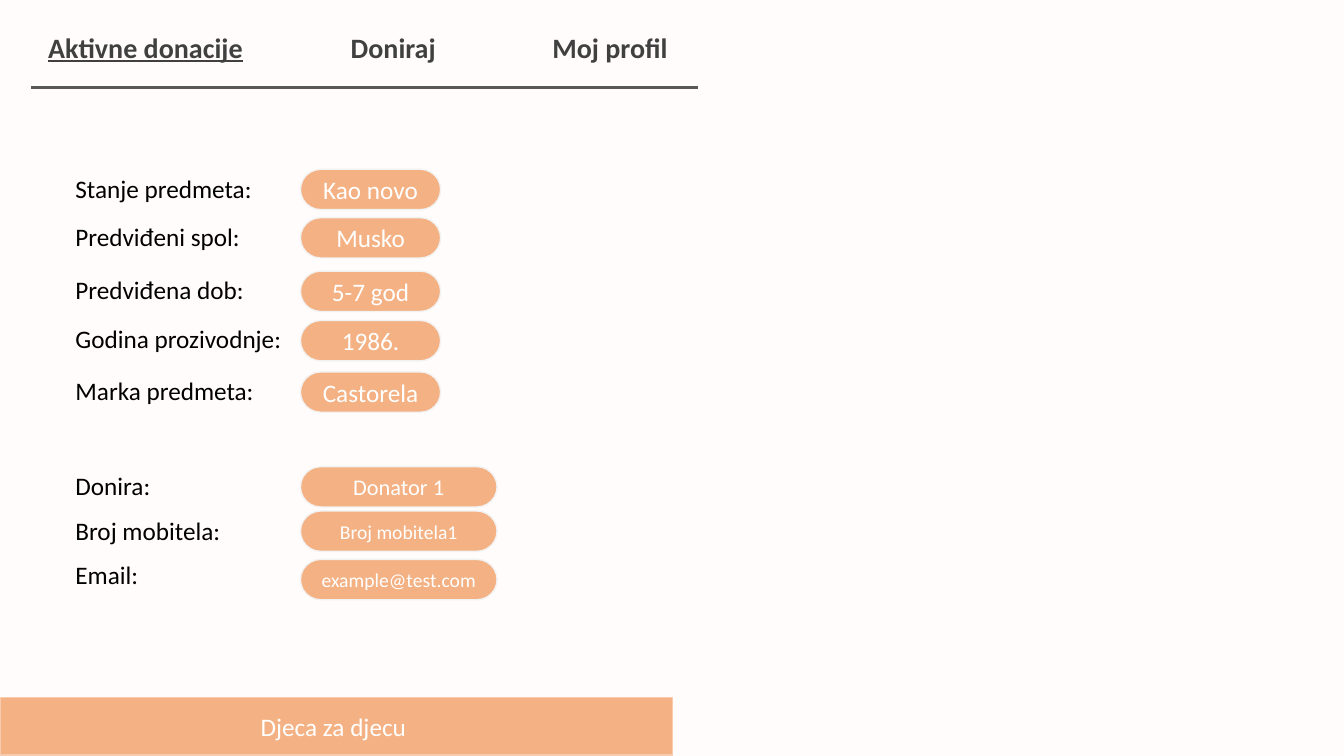
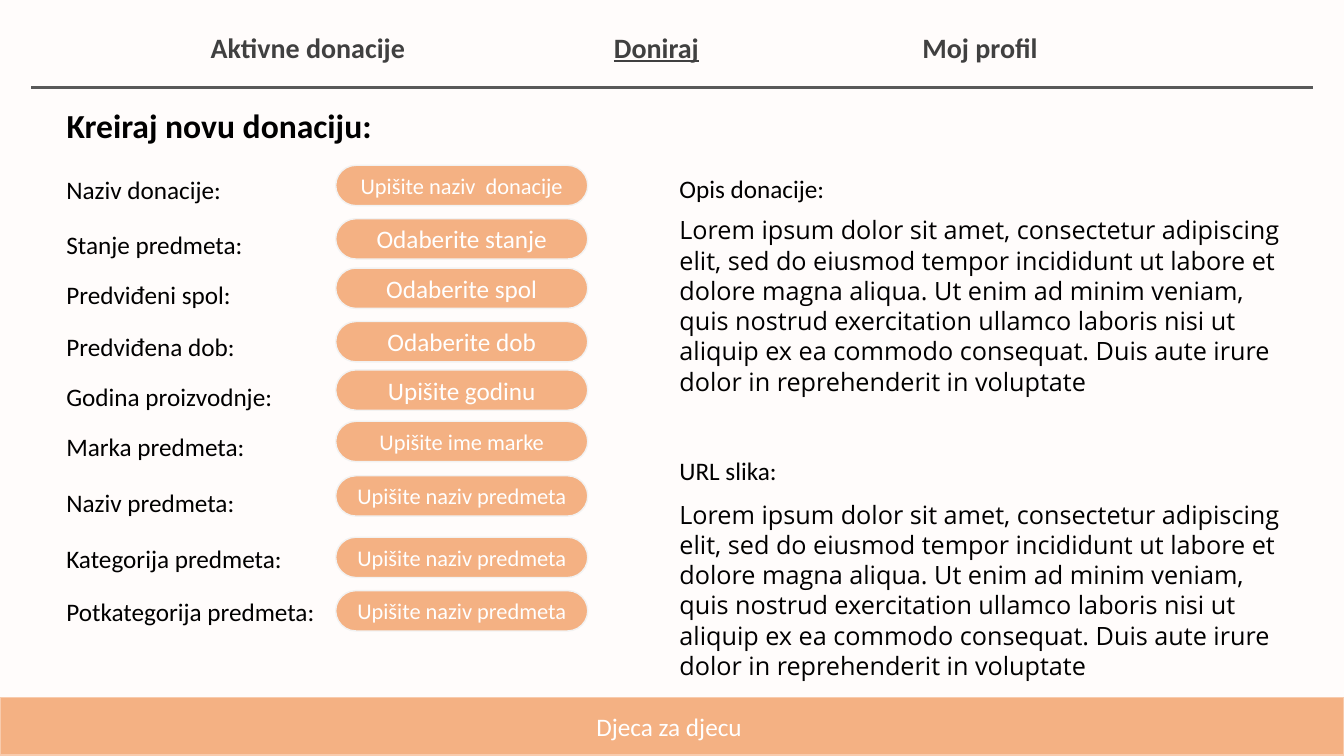
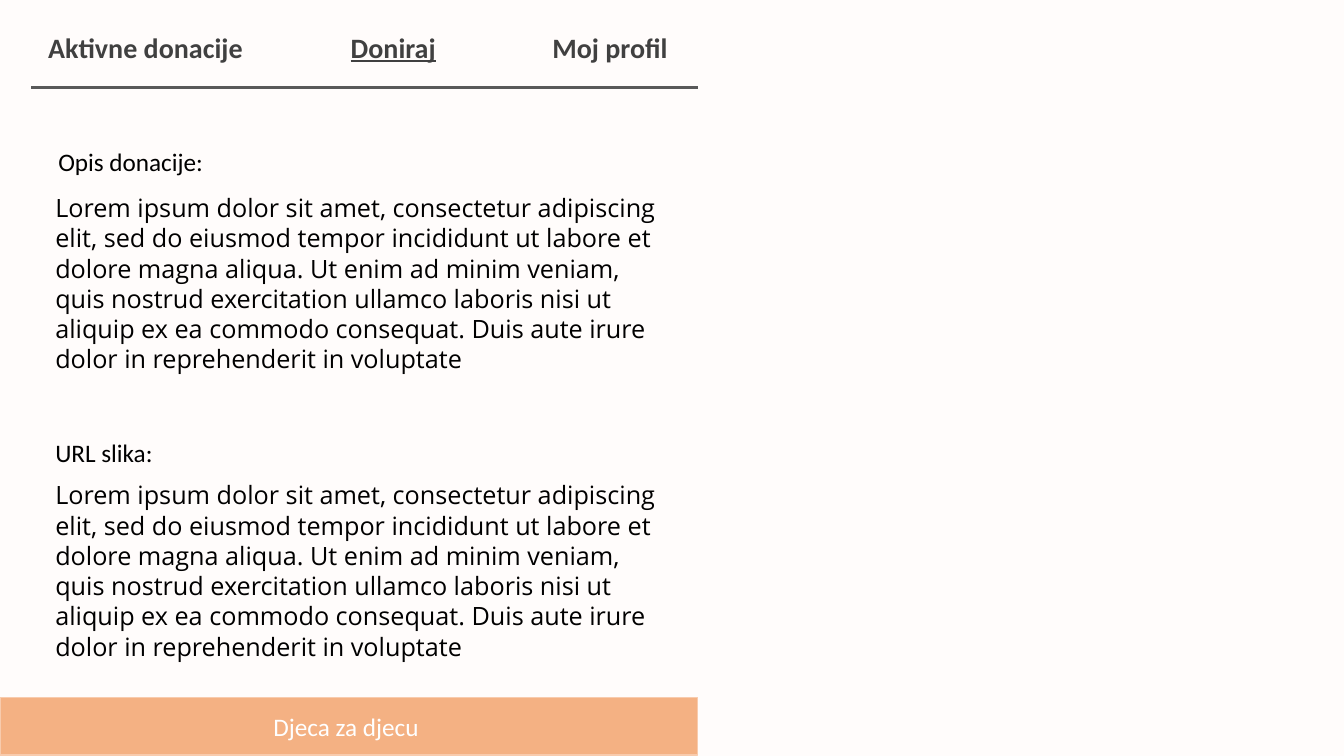
from dataclasses import dataclass

from lxml import etree
from pptx import Presentation
from pptx.dml.color import RGBColor
from pptx.enum.shapes import MSO_CONNECTOR, MSO_SHAPE
from pptx.enum.text import MSO_ANCHOR, MSO_AUTO_SIZE, PP_ALIGN
from pptx.oxml.ns import qn
from pptx.util import Inches, Pt

RECT, PILL = MSO_SHAPE.RECTANGLE, MSO_SHAPE.ROUNDED_RECTANGLE
LINE = MSO_CONNECTOR.STRAIGHT
LEFT, CENTER = PP_ALIGN.LEFT, PP_ALIGN.CENTER
TOP, MIDDLE = MSO_ANCHOR.TOP, MSO_ANCHOR.MIDDLE
GROW = MSO_AUTO_SIZE.SHAPE_TO_FIT_TEXT
TITLED, BLANK = 5, 6


@dataclass(frozen=True)
class Theme:
    back: str = "FFFCFB"
    accent: str = "F4B183"
    edge: str = "F8CBAD"
    rim: str = "F2F2F2"
    rule: str = "595959"
    menu: str = "404040"
    ink: str = "000000"
    white: str = "FFFFFF"
    main: str = "Calibri"
    prose: str = "Open Sans"
    title: int = 24
    nav: int = 20
    body: int = 18
    small: int = 16
    tiny: int = 14


T = Theme()
TABS = ("Aktivne donacije", "Doniraj", "Moj profil")
LOREM = (
    "Lorem ipsum dolor sit amet, consectetur adipiscing elit, sed do eiusmod "
    "tempor incididunt ut labore et dolore magna aliqua. Ut enim ad minim "
    "veniam, quis nostrud exercitation ullamco laboris nisi ut aliquip ex ea "
    "commodo consequat. Duis aute irure dolor in reprehenderit in voluptate"
)


def rgb(code):
    return RGBColor.from_string(code)


def box(*sizes):
    return [Inches(size) for size in sizes]


class Deck:
    def __init__(self):
        self.prs = Presentation()
        self.prs.slide_width, self.prs.slide_height = box(13.33, 7.5)
        fill = self.prs.slide_master.background.fill
        fill.solid()
        fill.fore_color.rgb = rgb(T.back)
        self.slide = None

    def page(self, layout=BLANK):
        self.slide = self.prs.slides.add_slide(self.prs.slide_layouts[layout])

    def style(self, run, color, size=T.body, name=T.main, **extra):
        look = {"size": Pt(size), "name": name, **extra}
        for key, value in look.items():
            setattr(run.font, key, value)
        run.font.color.rgb = rgb(color)

    def put(self, frame, text, align, color, **look):
        para = frame.paragraphs[0]
        para.alignment = align
        run = para.add_run()
        run.text = text
        self.style(run, color, **look)

    def frame(self, left, top, width, height):
        shape = self.slide.shapes.add_textbox(*box(left, top, width, height))
        shape.text_frame.word_wrap = True
        shape.text_frame.auto_size = GROW
        return shape.text_frame

    def text(self, text, left, top, width, height=0.4, **look):
        frame = self.frame(left, top, width, height)
        self.put(frame, text, LEFT, T.ink, **look)

    def title(self, text, left, top, width, height):
        shape = self.slide.shapes.title
        shape.left, shape.top, shape.width, shape.height = box(
            left, top, width, height)
        shape.text_frame.vertical_anchor = TOP
        self.put(shape.text_frame, text, LEFT, T.ink,
                 size=T.title, bold=True)

    def block(self, kind, text, place, edge, size=T.body):
        shape = self.slide.shapes.add_shape(kind, *box(*place))
        shape.shadow.inherit = False
        shape.fill.solid()
        shape.fill.fore_color.rgb = rgb(T.accent)
        shape.line.color.rgb = rgb(edge)
        shape.line.width = Pt(1)
        shape.text_frame.vertical_anchor = MIDDLE
        self.put(shape.text_frame, text, CENTER, T.white, size=size)
        return shape

    def pill(self, text, left, top, width, size):
        shape = self.block(PILL, text, (left, top, width, 0.4), T.rim, size)
        shape.adjustments[0] = 0.5

    def footer(self, width):
        self.block(RECT, "Djeca za djecu ", (0, 6.92, width, 0.57), T.edge)

    def nav(self, active, left, width, stops, end):
        # Rule below the menu
        line = self.slide.shapes.add_connector(LINE, *box(0.31, 0.87, end, 0.87))
        line.line.color.rgb = rgb(T.rule)
        line.line.width = Pt(2.25)
        etree.SubElement(line._element.spPr, qn("a:effectLst"))
        # Menu entries, parted by tab stops
        para = self.frame(left, 0.25, width, 0.44).paragraphs[0]
        tabs = etree.SubElement(para._p.get_or_add_pPr(), qn("a:tabLst"))
        for stop in stops:
            etree.SubElement(tabs, qn("a:tab"), pos=str(Inches(stop)), algn="l")
        for i, name in enumerate(TABS):
            for part in (("\t", name) if i else (name,)):
                run = para.add_run()
                run.text = part
                self.style(run, T.menu, size=T.nav, bold=True,
                           underline=part == active)

    def narrow(self, active):
        self.nav(active, 0.38, 6.41, (3, 5), 6.92)

    def form(self, rows, left, wide, edge, width):
        for label, high, value, top, size in rows:
            self.text(label, left, high, wide)
            self.pill(value, edge, top, width, size)

    def notes(self, left, *rows):
        for label, shift, high, top in rows:
            self.text(label, left + shift, high, 1.73)
            self.text(LOREM, left, top, 6.22, 1.92, name=T.prose)


def main():
    deck = Deck()

    # Details of one donation
    deck.page()
    deck.footer(6.67)
    deck.form((
        ("Stanje predmeta:", 1.67, "Kao novo", 1.68, T.body),
        ("Predviđeni spol:", 2.15, "Musko", 2.16, T.body),
        ("Predviđena dob:", 2.67, "5-7 god", 2.69, T.body),
        ("Godina prozivodnje:", 3.16, "1986.", 3.18, T.body),
        ("Marka predmeta:", 3.67, "Castorela", 3.69, T.body),
    ), 0.65, 2.33, 2.98, 1.39)
    deck.form((
        ("Donira:", 4.62, "Donator 1", 4.63, T.small),
        ("Broj mobitela:", 5.06, "Broj mobitela1", 5.07, T.tiny),
        ("Email:", 5.5, "example@test.com", 5.55, T.tiny),
    ), 0.65, 2.33, 2.98, 1.95)
    deck.narrow("Aktivne donacije")

    # Form for a new donation
    deck.page(TITLED)
    deck.title("Kreiraj novu donaciju:", 0.56, 0.99, 5.27, 0.5)
    deck.footer(13.33)
    deck.form((
        ("Naziv donacije:", 1.68, "Upišite naziv  donacije", 1.64, T.small),
        ("Stanje predmeta:", 2.23, "Odaberite stanje", 2.17, T.body),
        ("Predviđeni spol:", 2.72, "Odaberite spol", 2.66, T.body),
        ("Predviđena dob:", 3.24, "Odaberite dob", 3.19, T.body),
        ("Godina proizvodnje:", 3.73, "Upišite godinu", 3.67, T.body),
        ("Marka predmeta:", 4.23, "Upišite ime marke", 4.18, T.small),
        ("Naziv predmeta:", 4.79, "Upišite naziv predmeta", 4.72, T.small),
        ("Kategorija predmeta:", 5.34, "Upišite naziv predmeta", 5.33, T.small),
        ("Potkategorija predmeta:", 5.87, "Upišite naziv predmeta", 5.86, T.small),
    ), 0.56, 2.77, 3.33, 2.5)
    deck.notes(6.64, ("Opis donacije:", 0, 1.67, 2.08),
               ("URL slika:", 0, 4.47, 4.9))
    deck.nav("Doniraj", 1.99, 8.7, (4, 7.06), 13.02)

    # Description and image link
    deck.page()
    deck.footer(6.92)
    deck.notes(0.45, ("Opis donacije:", 0.03, 1.4, 1.86),
               ("URL slika:", 0, 4.29, 4.71))
    deck.narrow("Doniraj")

    deck.prs.save("out.pptx")


if __name__ == "__main__":
    main()
